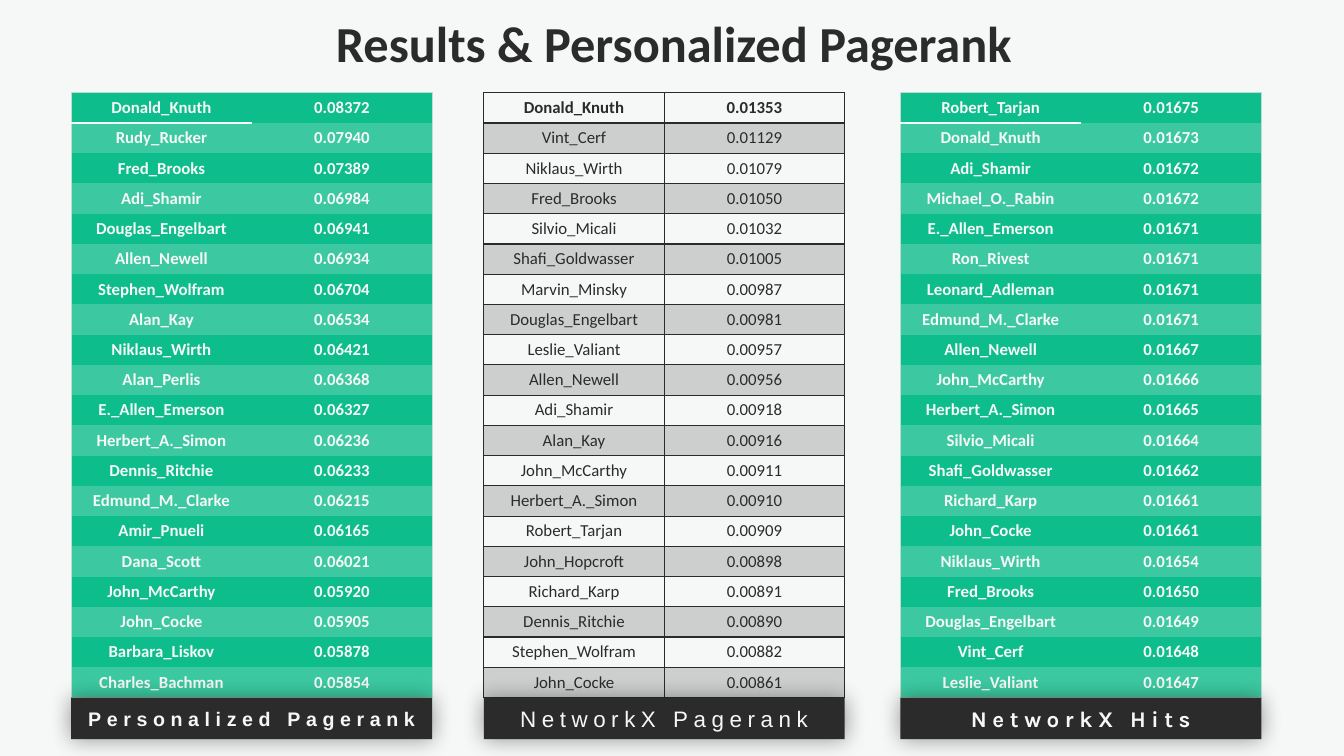
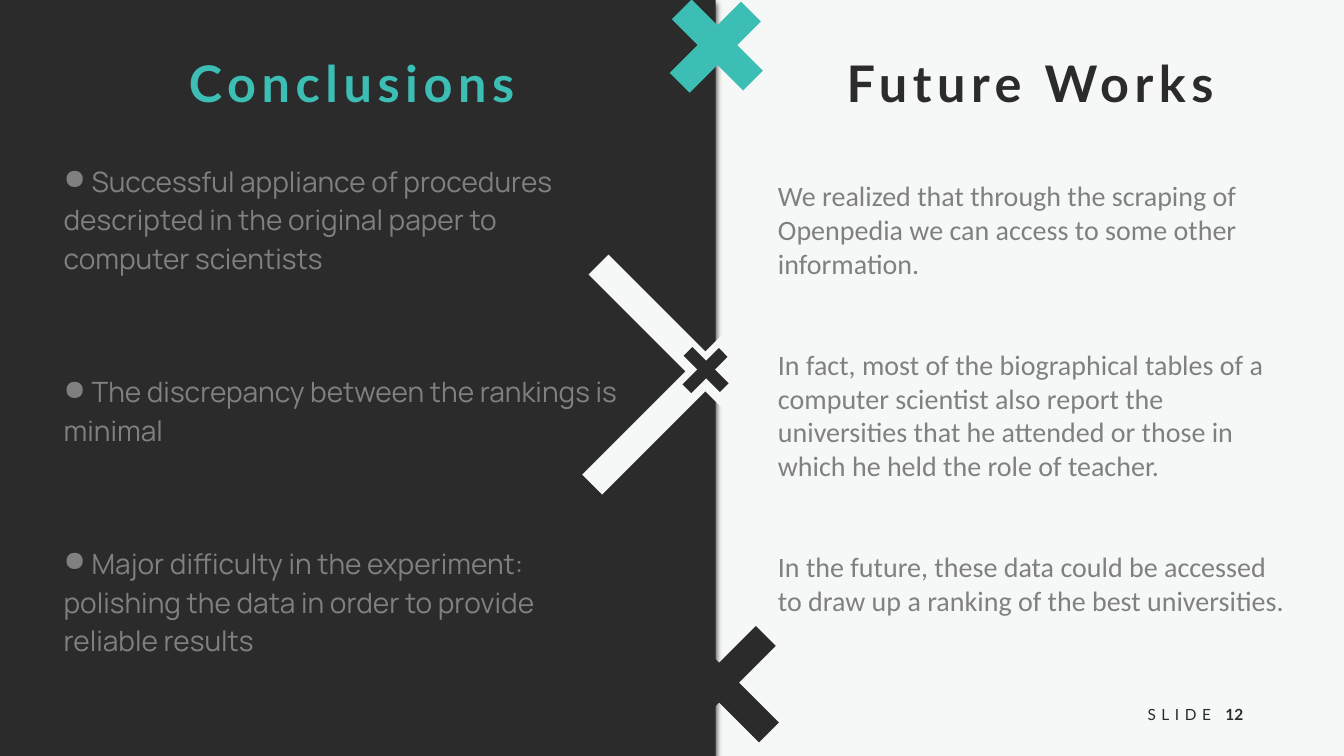
"""Build a ranking slide with three tables and a closing slide in two halves."""
import lxml.etree
import pptx
import pptx.dml.color
import pptx.enum.shapes
import pptx.enum.text
import pptx.oxml.ns
import pptx.util

RGB = pptx.dml.color.RGBColor
DARK = RGB(0x2B, 0x2B, 0x2B)
PALE = RGB(0xF6, 0xF8, 0xF8)
TEAL = RGB(0x3C, 0xBE, 0xB4)
GREEN = RGB(0x0D, 0xBD, 0x8B)
MINT = RGB(0x3C, 0xC9, 0xA1)
EDGE = RGB(0xBD, 0xDE, 0xCF)
SILVER = RGB(0xCD, 0xCF, 0xCF)
GRAY = RGB(0x80, 0x80, 0x80)
PLAIN = "{2D5ABB26-0587-4C30-8999-92F81FD0307C}"

Pt = pptx.util.Pt
qn = pptx.oxml.ns.qn
sub = lxml.etree.SubElement
ALIGN = pptx.enum.text.PP_ALIGN
ANCHOR = pptx.enum.text.MSO_ANCHOR
RECT = pptx.enum.shapes.MSO_SHAPE.RECTANGLE
LINE = pptx.enum.shapes.MSO_CONNECTOR.STRAIGHT

deck = pptx.Presentation()
deck.slide_width = pptx.util.Inches(13.333)
deck.slide_height = pptx.util.Inches(7.5)
COL = deck.slide_width / 100
ROW = deck.slide_height / 100


def spot(left, top, width, height):
    """Turn shares of the slide, in percent, into lengths."""
    return [pptx.util.Emu(round(share * unit)) for share, unit in
            ((left, COL), (top, ROW), (width, COL), (height, ROW))]


def style(frame, size, font, color, bold=False, align=ALIGN.LEFT, anchor=ANCHOR.TOP, space=0):
    """Format all text of a frame."""
    frame.word_wrap = True
    frame.vertical_anchor = anchor
    for para in frame.paragraphs:
        para.alignment = align
        for run in para.runs:
            run.font.size = Pt(size)
            run.font.name = font
            run.font.bold = bold
            run.font.color.rgb = color
            if space:
                run.font._element.set("spc", str(space * 100))


back = deck.slide_master.background.fill
back.solid()
back.fore_color.rgb = PALE
layout = deck.slide_layouts[5]
ranks, close = [deck.slides.add_slide(layout) for _ in range(2)]
shades = []

for slide, text, place, font, color, align, space in (
        (ranks, "Results & Personalized Pagerank", (23.3, 0.95, 53.7, 9.5),
         "Calibri", DARK, ALIGN.CENTER, 0),
        (close, "Conclusions", (13.3, 6.25, 26.7, 9.5), "Lato", TEAL, ALIGN.LEFT, 4)):
    title = slide.shapes.title
    title.left, title.top, title.width, title.height = spot(*place)
    title.text_frame.text = text
    style(title.text_frame, 36, font, color, True, align, space=space)

personal = """Donald_Knuth 0.08372
Rudy_Rucker 0.07940
Fred_Brooks 0.07389
Adi_Shamir 0.06984
Douglas_Engelbart 0.06941
Allen_Newell 0.06934
Stephen_Wolfram 0.06704
Alan_Kay 0.06534
Niklaus_Wirth 0.06421
Alan_Perlis 0.06368
E._Allen_Emerson 0.06327
Herbert_A._Simon 0.06236
Dennis_Ritchie 0.06233
Edmund_M._Clarke 0.06215
Amir_Pnueli 0.06165
Dana_Scott 0.06021
John_McCarthy 0.05920
John_Cocke 0.05905
Barbara_Liskov 0.05878
Charles_Bachman 0.05854"""
network = """Donald_Knuth 0.01353
Vint_Cerf 0.01129
Niklaus_Wirth 0.01079
Fred_Brooks 0.01050
Silvio_Micali 0.01032
Shafi_Goldwasser 0.01005
Marvin_Minsky 0.00987
Douglas_Engelbart 0.00981
Leslie_Valiant 0.00957
Allen_Newell 0.00956
Adi_Shamir 0.00918
Alan_Kay 0.00916
John_McCarthy 0.00911
Herbert_A._Simon 0.00910
Robert_Tarjan 0.00909
John_Hopcroft 0.00898
Richard_Karp 0.00891
Dennis_Ritchie 0.00890
Stephen_Wolfram 0.00882
John_Cocke 0.00861"""
hits = """Robert_Tarjan 0.01675
Donald_Knuth 0.01673
Adi_Shamir 0.01672
Michael_O._Rabin 0.01672
E._Allen_Emerson 0.01671
Ron_Rivest 0.01671
Leonard_Adleman 0.01671
Edmund_M._Clarke 0.01671
Allen_Newell 0.01667
John_McCarthy 0.01666
Herbert_A._Simon 0.01665
Silvio_Micali 0.01664
Shafi_Goldwasser 0.01662
Richard_Karp 0.01661
John_Cocke 0.01661
Niklaus_Wirth 0.01654
Fred_Brooks 0.01650
Douglas_Engelbart 0.01649
Vint_Cerf 0.01648
Leslie_Valiant 0.01647"""

WIDE, TOP, STEP = 26.85, 12.27, 4
for left, data, vivid, label, size, font, bold in (
        (5.3, personal, True, "Personalized Pagerank", 14, "Arial", True),
        (36, network, False, "NetworkX Pagerank", 16, "Arial", False),
        (67, hits, True, "NetworkX Hits", 16, "Karla", True)):
    pairs = [line.split() for line in data.splitlines()]
    last = len(pairs) - 1
    frame = ranks.shapes.add_table(len(pairs), 2, *spot(left, TOP, WIDE, STEP * len(pairs)))
    frame.element.find(".//" + qn("a:tableStyleId")).text = PLAIN
    table = frame.table
    table.first_row = table.horz_banding = False
    bands = (GREEN, MINT) if vivid else (PALE, SILVER)
    for r, pair in enumerate(pairs):
        for c, text in enumerate(pair):
            cell = table.cell(r, c)
            cell.margin_top = cell.margin_bottom = Pt(2)
            cell.fill.solid()
            cell.fill.fore_color.rgb = bands[r % 2]
            cell.text_frame.text = text
            style(cell.text_frame, 12, "Calibri", PALE if vivid else DARK,
                  vivid or r == 0, ALIGN.CENTER)
            cell.vertical_anchor = ANCHOR.MIDDLE
            if vivid:
                sides = {"lnL": c == 0, "lnR": c == 1, "lnT": r == 0, "lnB": r == last}
                rules = {side: (EDGE, 0.5) for side, drawn in sides.items() if drawn}
                if r == c == 0:
                    rules["lnB"] = (PALE, 1.5)
            else:
                rules = {side: (DARK, 1) for side in ("lnL", "lnR", "lnT", "lnB")}
                if r == 0:
                    rules["lnB"] = (DARK, 2)
                elif r == 1:
                    rules["lnT"] = (DARK, 2)
            props = cell._tc.get_or_add_tcPr()
            for i, (side, (color, weight)) in enumerate(rules.items()):
                rule = sub(props, qn("a:" + side), w=str(Pt(weight)))
                sub(sub(rule, qn("a:solidFill")), qn("a:srgbClr"), val=str(color))
                props.insert(i, rule)

    band = ranks.shapes.add_shape(RECT, *spot(left, TOP + STEP * len(pairs), WIDE, 5.5))
    band.fill.solid()
    band.fill.fore_color.rgb = DARK
    band.line.fill.background()
    band.text_frame.text = label
    band.text_frame.margin_left = band.text_frame.margin_right = 0
    style(band.text_frame, size, font, PALE, bold, ALIGN.CENTER, ANCHOR.MIDDLE, 4)
    shades.append((band, 16, 0, 0, 40))

panel = close.shapes.add_shape(RECT, *spot(0, 0, 53.25, 100))
panel.fill.solid()
panel.fill.fore_color.rgb = DARK
panel.line.fill.background()
close.shapes.title.element.addprevious(panel.element)
shades.append((panel, 4, 3, 69, 69))

for shape, blur, dist, angle, alpha in shades:
    shape.shadow.inherit = False
    effects = shape.element.spPr.find(qn("a:effectLst"))
    shade = sub(effects, qn("a:outerShdw"), blurRad=str(Pt(blur)), dist=str(Pt(dist)),
                dir=str(angle * 60000), algn="ctr", rotWithShape="0")
    sub(sub(shade, qn("a:srgbClr"), val="000000"), qn("a:alpha"), val=str(alpha * 1000))

for x, y, half, color, weight in (
        (52.25, 49.55, 7.95, PALE, 20), (52.5, 48.95, 1.35, DARK, 8.75),
        (53.3, 6.1, 2.65, TEAL, 20), (53.4, 90.5, 3.7, DARK, 20)):
    reach = half * COL
    for sign in (1, -1):
        midx = x * COL - sign * 0.03 * reach
        midy = y * ROW + sign * 0.03 * reach
        arm = close.shapes.add_connector(
            LINE, round(midx + reach), round(midy - sign * reach),
            round(midx - reach), round(midy + sign * reach))
        arm.line.color.rgb = color
        arm.line.width = Pt(weight)
        sub(arm.element.spPr, qn("a:effectLst"))

for text, place, size, color, bold, align, anchor, space in (
        ("Future Works", (62.25, 6.25, 29.4, 9.5), 36, DARK, True, ALIGN.LEFT, ANCHOR.TOP, 4),
        ("SLIDE", (84.45, 91.5, 6.6, 6), 11, DARK, False, ALIGN.CENTER, ANCHOR.MIDDLE, 4),
        ("12", (90.1, 91.5, 3.5, 6), 11, DARK, True, ALIGN.CENTER, ANCHOR.MIDDLE, 0)):
    box = close.shapes.add_textbox(*spot(*place))
    box.text_frame.text = text
    style(box.text_frame, size, "Lato", color, bold, align, anchor, space)

points = (
    " Successful appliance of procedures descripted in the original paper to computer scientists",
    " The discrepancy between the rankings is minimal",
    " Major difficulty in the experiment: polishing the data in order to provide reliable results")
plans = (
    "We realized that through the scraping of Openpedia we can access to some other information.",
    "In fact, most of the biographical tables of a computer scientist also report the "
    "universities that he attended or those in which he held the role of teacher.",
    "In the future, these data could be accessed to draw up a ranking of the best universities.")
for texts, place, font, anchor, pitch, gap, mark in (
        (points, (4, 20.4, 43.3, 68), "Manrope", ANCHOR.TOP, 1.15, 67.5, "●"),
        (plans, (57.15, 22.8, 40, 59.7), "Calibri", ANCHOR.MIDDLE, 1, 48.5, None)):
    box = close.shapes.add_textbox(*spot(*place))
    box.text_frame.text = "\n".join(texts)
    style(box.text_frame, 20, font, GRAY, anchor=anchor)
    for i, para in enumerate(box.text_frame.paragraphs):
        para.line_spacing = pitch
        para.space_before = Pt(gap if i else 0)
        if mark:
            props = para._p.get_or_add_pPr()
            props.set("marL", "0")
            props.set("indent", "0")
            sub(props, qn("a:buChar"), char=mark)

deck.save("out.pptx")
